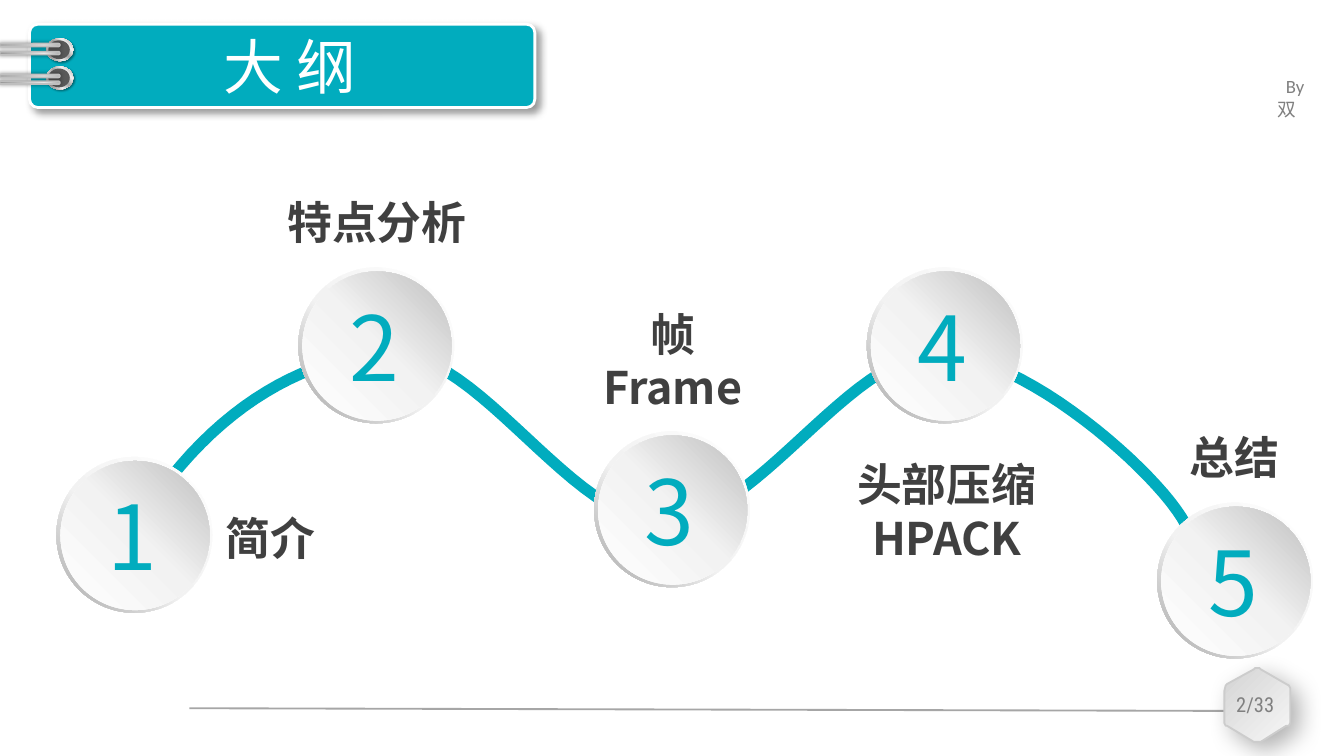
from pptx import Presentation
from pptx.dml.color import RGBColor
from pptx.enum.shapes import MSO_CONNECTOR, MSO_SHAPE
from pptx.enum.text import MSO_ANCHOR, MSO_AUTO_SIZE, PP_ALIGN
from pptx.oxml.ns import qn
from pptx.oxml.xmlchemy import OxmlElement
from pptx.util import Inches, Pt

OVAL, DONUT, ROUND = MSO_SHAPE.OVAL, MSO_SHAPE.DONUT, MSO_SHAPE.ROUNDED_RECTANGLE
STRAIGHT = MSO_CONNECTOR.STRAIGHT
LEFT, CENTER = PP_ALIGN.LEFT, PP_ALIGN.CENTER
MIDDLE = MSO_ANCHOR.MIDDLE
GROW, FIXED = MSO_AUTO_SIZE.SHAPE_TO_FIT_TEXT, MSO_AUTO_SIZE.NONE

SANS = "Noto Sans CJK SC"
TEAL, WHITE, GRAY, DARK = "01ACBE", "FFFFFF", "808080", "404040"
HEAD = {"size": Pt(32), "name": SANS, "bold": False}
LABEL = {"size": Pt(24), "name": SANS, "bold": True}
DIGIT = {"size": Pt(48), "name": SANS}
BYLINE = {"size": Pt(10), "name": "Calibri"}
PAGE = {"size": Pt(11), "name": "Roboto Condensed"}

# Gradients: angle, then (percent, colour) stops
EYELET = 45, [(0, WHITE), (17, "A6A6A6"), (35, "F2F2F2"),
              (55, "A6A6A6"), (75, "F2F2F2"), (100, "A6A6A6")]
METAL = 90, [(0, GRAY), (23, "A6A6A6"), (52, "D9D9D9"),
             (74, WHITE), (100, "A6A6A6")]
RIM = 135, [(0, WHITE), (55, "F2F2F2"), (100, "A6A6A6")]
DISC = 315, [(0, WHITE), (51, "F2F2F2"), (100, "BFBFBF")]
BADGE = 45, [(2, "D4D4D4"), (100, "F7F7F7")]

STEPS = [(0.42, 3.4), (2.22, 1.99), (4.42, 3.21), (6.45, 1.99), (8.61, 3.74)]
LABELS = [
    ("简介", (1.58, 3.75, 1.92, 0.5), LEFT),
    ("特点分析", (2.02, 1.4, 1.57, 0.5), CENTER),
    ("帧\nFrame", (4.13, 2.23, 1.75, 0.91), CENTER),
    ("头部压缩HPACK", (6.16, 3.35, 1.77, 0.91), CENTER),
    ("总结", (8.3, 3.15, 1.77, 0.5), CENTER),
]
WAVE = [(1, 3.95), (1.51, 3.08), (2.25, 2.64), (2.91, 2.63),
        (3.57, 2.62), (4.26, 3.89), (4.94, 3.89),
        (5.61, 3.89), (6.32, 2.63), (6.97, 2.63),
        (7.62, 2.63), (8.63, 3.53), (8.82, 3.9)]
HEXAGON = [(9.11, 5.14), (9.12, 5.1), (9.13, 5.09), (9.33, 4.98),
           (9.34, 4.97), (9.37, 4.97), (9.38, 4.98), (9.57, 5.09),
           (9.59, 5.1), (9.6, 5.12), (9.6, 5.14), (9.6, 5.36),
           (9.6, 5.38), (9.59, 5.4), (9.57, 5.4), (9.38, 5.52),
           (9.37, 5.52), (9.34, 5.52), (9.33, 5.52), (9.13, 5.4),
           (9.12, 5.4), (9.11, 5.38), (9.11, 5.36)]


def color(code):
    return RGBColor.from_string(code)


def add_node(parent, tag, **attrs):
    node = OxmlElement(tag)
    for key, value in attrs.items():
        node.set(key, str(value))
    parent.append(node)
    return node


def blend(shape, angle, stops):
    """Fill the shape with a linear gradient."""
    shape.fill.gradient()
    grad = shape._element.spPr.find(qn("a:gradFill"))
    for node in list(grad):
        grad.remove(node)
    rows = add_node(grad, "a:gsLst")
    for spot, code in stops:
        stop = add_node(rows, "a:gs", pos=spot * 1000)
        add_node(stop, "a:srgbClr", val=code)
    add_node(grad, "a:lin", ang=angle * 60000, scaled=0)


def cast(shape, alpha, blur, dist, angle):
    """Give the shape an outer shadow."""
    effect = shape._element.spPr.find(qn("a:effectLst"))
    outer = add_node(effect, "a:outerShdw", blurRad=Pt(blur), dist=Pt(dist),
                     dir=angle * 60000, algn="ctr", rotWithShape=0)
    tint = add_node(outer, "a:srgbClr", val="000000")
    add_node(tint, "a:alpha", val=alpha * 1000)


def paint(shape, fill=None, line=None, shadow=None):
    shape.shadow.inherit = False
    if fill is None:
        shape.fill.background()
    elif isinstance(fill, str):
        shape.fill.solid()
        shape.fill.fore_color.rgb = color(fill)
    else:
        blend(shape, *fill)
    if line:
        shape.line.color.rgb = color(line[0])
        shape.line.width = Pt(line[1])
    else:
        shape.line.fill.background()
    if shadow:
        cast(shape, *shadow)


def add_form(slide, kind, box, adj=None, turn=0, **style):
    shape = slide.shapes.add_shape(kind, *map(Inches, box))
    if adj is not None:
        shape.adjustments[0] = adj
    shape.rotation = turn
    paint(shape, **style)


def bezier(a, b, c, d, count):
    for i in range(1, count + 1):
        t = i / count
        u = 1 - t
        yield tuple(u**3 * p + 3 * u * u * t * q + 3 * u * t * t * r + t**3 * s
                    for p, q, r, s in zip(a, b, c, d))


def add_path(slide, dots, close, **style):
    pen = slide.shapes.build_freeform(*map(Inches, dots[0]))
    pen.add_line_segments([tuple(map(Inches, dot)) for dot in dots[1:]], close)
    paint(pen.convert_to_shape(), **style)


def write(frame, text, font, code, align=LEFT):
    frame.text = text
    for para in frame.paragraphs:
        para.alignment = align
        for run in para.runs:
            for key, value in font.items():
                setattr(run.font, key, value)
            run.font.color.rgb = color(code)
            add_node(run._r.get_or_add_rPr(), "a:ea", typeface=font["name"])


def add_text(slide, text, box, font, code, align=LEFT, wrap=True):
    frame = slide.shapes.add_textbox(*map(Inches, box)).text_frame
    frame.word_wrap = wrap
    frame.auto_size = GROW
    write(frame, text, font, code, align)
    return frame


def add_banner(slide):
    add_form(slide, ROUND, (0.22, 0.18, 3.76, 0.62), 0.1, fill=TEAL,
             line=(WHITE, 1.5), shadow=(40, 4, 3, 45))
    for top in (0.48, 0.27):
        add_form(slide, OVAL, (0.36, top, 0.17, 0.2), turn=270, fill=EYELET,
                 shadow=(40, 1, 1, 45))
        add_form(slide, OVAL, (0.37, top + 0.02, 0.14, 0.16), turn=270,
                 fill="595959")
    for top in (0.39, 0.34, 0.17, 0.11):
        add_form(slide, ROUND, (0.21, top, 0.02, 0.45), 0.5, 270, fill=METAL,
                 line=("BFBFBF", 1), shadow=(40, 2, 0, 0))


def add_title(slide, text):
    title = slide.shapes.title
    slide.shapes._spTree.append(title._element)  # in front of the banner
    box = dict(left=0.39, top=0.19, width=3.54, height=0.6)
    for key, value in box.items():
        setattr(title, key, Inches(value))
    frame = title.text_frame
    frame.auto_size = FIXED
    frame.vertical_anchor = MIDDLE
    write(frame, text, HEAD, WHITE, CENTER)


def add_byline(slide):
    frame = add_text(slide, "By 双", (9.41, 0.51, 0.59, 0.27), BYLINE, GRAY)
    frame.margin_right = Inches(0.16)  # narrow, so the name wraps
    frame.paragraphs[0]._p.get_or_add_pPr().set("indent", str(Inches(0.06)))


def add_footer(slide):
    ends = map(Inches, (1.41, 5.27, 9.15, 5.29))
    rule = slide.shapes.add_connector(STRAIGHT, *ends)
    rule.line.color.rgb = color("A6A6A6")
    rule.line.width = Pt(1)
    add_node(rule._element.spPr, "a:effectLst")
    add_path(slide, HEXAGON, True, fill=BADGE, line=("CCCCCC", 1),
             shadow=(30, 13, 6, 45))
    add_text(slide, "2/33", (9.05, 5.1, 0.58, 0.29), PAGE, GRAY, CENTER, False)


def add_wave(slide):
    dots = [WAVE[0]]
    for i in range(0, len(WAVE) - 1, 3):
        dots += bezier(*WAVE[i:i + 4], 24)
    add_path(slide, dots, False, line=(TEAL, 6))


def add_step(slide, num, left, top):
    add_form(slide, DONUT, (left, top, 1.16, 1.16), 0.05, fill=RIM)
    add_form(slide, OVAL, (left + 0.03, top + 0.03, 1.11, 1.11), fill=DISC)
    add_text(slide, str(num), (left + 0.28, top + 0.13, 0.6, 0.91),
             DIGIT, TEAL, wrap=False)


def main():
    deck = Presentation()
    deck.slide_width = Inches(10)
    deck.slide_height = deck.slide_width * 9 // 16
    slide = deck.slides.add_slide(deck.slide_layouts[5])
    add_banner(slide)
    add_byline(slide)
    add_footer(slide)
    add_title(slide, "大 纲")
    add_wave(slide)
    for num, spot in enumerate(STEPS, 1):
        add_step(slide, num, *spot)
    for text, box, align in LABELS:
        add_text(slide, text, box, LABEL, DARK, align)
    deck.save("out.pptx")


if __name__ == "__main__":
    main()
